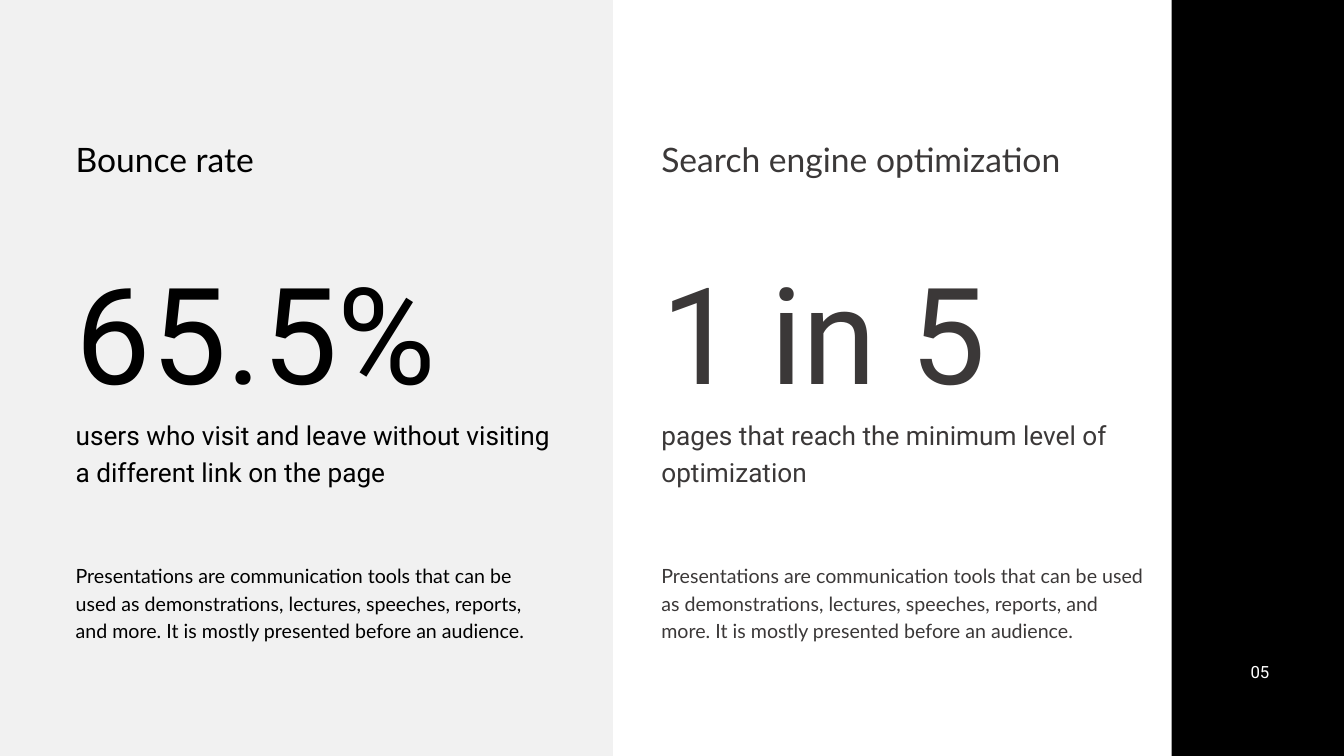
from dataclasses import dataclass

from pptx import Presentation
from pptx import util as u
from pptx.dml.color import RGBColor
from pptx.enum import shapes, text

BLACK = RGBColor(0x00, 0x00, 0x00)
WHITE = RGBColor(0xFF, 0xFF, 0xFF)
LIGHT_GREY = RGBColor(0xF1, 0xF1, 0xF1)
DARK_GREY = RGBColor(0x3B, 0x38, 0x38)

SLIDE_W, SLIDE_H = 13.33, 7.5


@dataclass(frozen=True)
class TextStyle:
    top: float
    height: float
    font: str
    size: float
    line_pt: float


@dataclass(frozen=True)
class Column:
    left: float
    width: float
    color: RGBColor
    texts: tuple[str, ...]


@dataclass(frozen=True)
class Panel:
    left: float
    width: float
    color: RGBColor


HEADING = TextStyle(1.31, 0.45, "Lato", 24, 33.6)
FIGURE = TextStyle(2.48, 1.61, "Roboto", 96, 115.2)
CAPTION = TextStyle(4.11, 0.71, "Roboto", 18.7, 26.1)
BODY = TextStyle(5.56, 0.82, "Lato", 14, 19.6)
PAGE_NUMBER = TextStyle(6.53, 0.22, "Roboto", 12, 16.8)

BODY_TEXT = (
    "Presentations are communication tools that can be used as demonstrations, "
    "lectures, speeches, reports, and more. It is mostly presented before an audience."
)

PANELS = (
    Panel(0, 6.08, LIGHT_GREY),
    Panel(11.62, SLIDE_W - 11.62, BLACK),
)

COLUMNS = (
    Column(0.75, 4.78, BLACK, (
        "Bounce rate",
        "65.5%",
        "users who visit and leave without visiting a different link on the page",
        BODY_TEXT,
    )),
    Column(6.56, 4.8, DARK_GREY, (
        "Search engine optimization",
        "1 in 5",
        "pages that reach the minimum level of optimization",
        BODY_TEXT,
    )),
)


def add_panel(s, panel: Panel) -> None:
    sp = s.shapes.add_shape(
        shapes.MSO_SHAPE.RECTANGLE,
        u.Inches(panel.left), 0, u.Inches(panel.width), u.Inches(SLIDE_H),
    )
    sp.shadow.inherit = False
    sp.fill.solid()
    sp.fill.fore_color.rgb = panel.color
    sp.line.fill.background()


def add_text(s, content: str, style: TextStyle, left: float, width: float,
             color: RGBColor, align=text.PP_ALIGN.LEFT) -> None:
    sp = s.shapes.add_textbox(
        u.Inches(left), u.Inches(style.top), u.Inches(width), u.Inches(style.height)
    )
    tf = sp.text_frame
    tf.word_wrap = True
    tf.auto_size = text.MSO_AUTO_SIZE.SHAPE_TO_FIT_TEXT
    tf.margin_left = tf.margin_right = tf.margin_top = tf.margin_bottom = 0
    p = tf.paragraphs[0]
    p.text = content
    p.alignment = align
    p.line_spacing = u.Pt(style.line_pt)
    p.font.name = style.font
    p.font.size = u.Pt(style.size)
    p.font.color.rgb = color


def main() -> None:
    prs = Presentation()
    prs.slide_width, prs.slide_height = u.Inches(SLIDE_W), u.Inches(SLIDE_H)
    s = prs.slides.add_slide(prs.slide_layouts[6])

    for panel in PANELS:
        add_panel(s, panel)
    for column in COLUMNS:
        for content, style in zip(column.texts, (HEADING, FIGURE, CAPTION, BODY)):
            add_text(s, content, style, column.left, column.width, column.color)
    add_text(s, "05", PAGE_NUMBER, 11.77, 0.82, WHITE, text.PP_ALIGN.RIGHT)

    prs.save("out.pptx")


if __name__ == "__main__":
    main()
